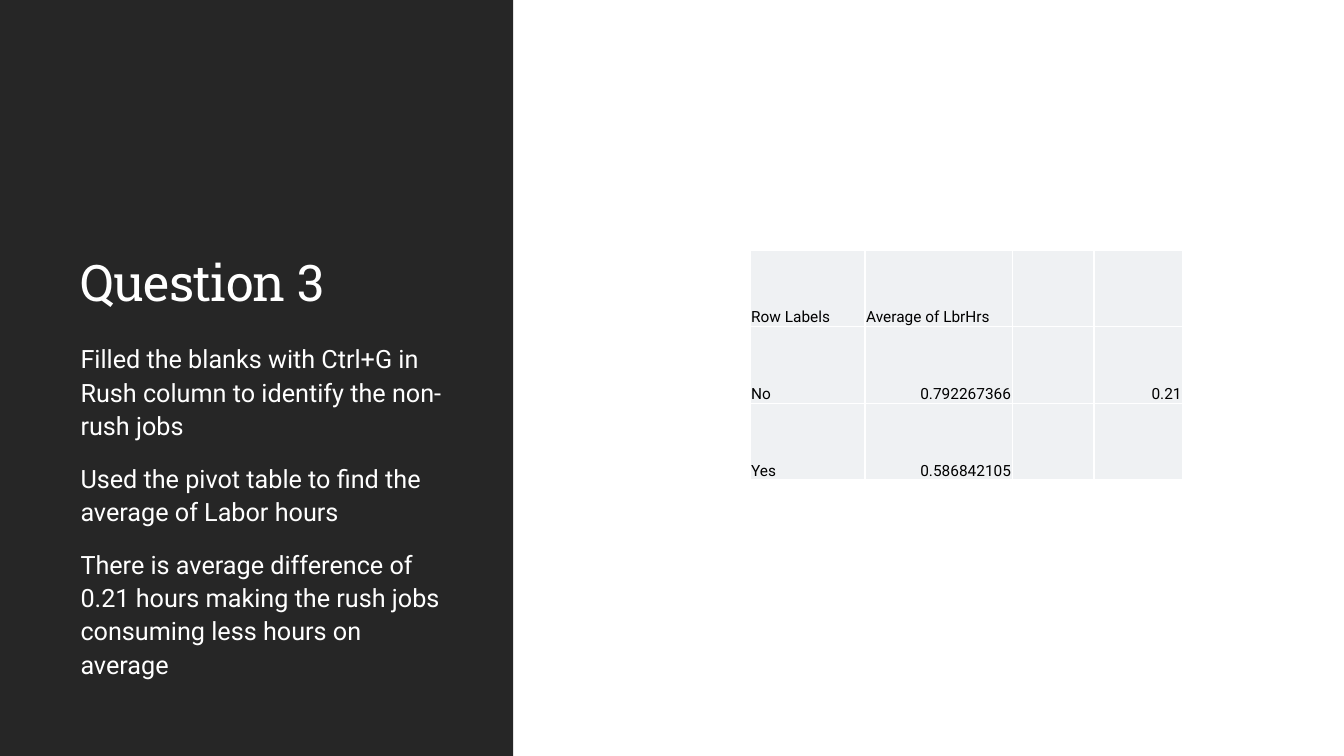
from lxml.etree import SubElement
from pptx import Presentation
from pptx.dml.color import RGBColor
from pptx.enum.shapes import MSO_SHAPE
from pptx.enum.text import MSO_ANCHOR, PP_ALIGN
from pptx.oxml.ns import qn
from pptx.util import Inches, Pt

TITLE = "Question 3"
FINDINGS = [
    "Filled the blanks with Ctrl+G in Rush column to identify the non-rush jobs",
    "Used the pivot table to find the average of Labor hours",
    "There is average difference of 0.21 hours making the rush jobs consuming less hours on average",
]
HOURS = [
    ("Row Labels", "Average of LbrHrs", "", ""),
    ("No", "0.792267366", "", "0.21"),
    ("Yes", "0.586842105", "", ""),
]
COLUMN_WIDTHS = (1.14, 1.46, 0.81, 0.88)
ROW_HEIGHT = 0.76
TEXT_LEFT, TEXT_WIDTH = 0.7, 3.85

DARK = RGBColor(0x26, 0x26, 0x26)
WHITE = RGBColor(0xFF, 0xFF, 0xFF)
BLACK = RGBColor(0, 0, 0)
PALE = RGBColor(0xEF, 0xF1, 0xF3)


def set_font(paragraph, name, size, color):
    font = paragraph.font
    font.name, font.size, font.color.rgb = name, Pt(size), color


def add_text(page, top, height, anchor):
    box = page.shapes.add_textbox(
        Inches(TEXT_LEFT), Inches(top), Inches(TEXT_WIDTH), Inches(height))
    frame = box.text_frame
    frame.word_wrap = True
    frame.vertical_anchor = anchor
    return frame


def add_borders(cell):
    properties = cell._tc.get_or_add_tcPr()
    for side in ("lnL", "lnR", "lnT", "lnB"):
        line = SubElement(properties, qn(f"a:{side}"), w=str(Pt(1)))
        fill = SubElement(line, qn("a:solidFill"))
        SubElement(fill, qn("a:srgbClr"), val=str(WHITE))


def fill_cell(cell, text):
    cell.margin_left = cell.margin_right = cell.margin_top = Inches(0.01)
    cell.margin_bottom = 0
    cell.vertical_anchor = MSO_ANCHOR.BOTTOM
    add_borders(cell)
    cell.fill.solid()
    cell.fill.fore_color.rgb = PALE
    cell.text = text
    para = cell.text_frame.paragraphs[0]
    para.alignment = PP_ALIGN.RIGHT if text[:1].isdigit() else PP_ALIGN.LEFT
    set_font(para, "Roboto", 11, BLACK)


def add_hours_table(page):
    table = page.shapes.add_table(
        len(HOURS), len(COLUMN_WIDTHS), Inches(7.44), Inches(2.48),
        Inches(sum(COLUMN_WIDTHS)), Inches(ROW_HEIGHT * len(HOURS))).table
    table.first_row = table.horz_banding = False
    for column, width in zip(table.columns, COLUMN_WIDTHS):
        column.width = Inches(width)
    for row, texts in zip(table.rows, HOURS):
        row.height = Inches(ROW_HEIGHT)
        for cell, text in zip(row.cells, texts):
            fill_cell(cell, text)


def main():
    deck = Presentation()
    deck.slide_width, deck.slide_height = Inches(13.33), Inches(7.5)
    page = deck.slides.add_slide(deck.slide_layouts[6])

    panel = page.shapes.add_shape(
        MSO_SHAPE.RECTANGLE, 0, 0, Inches(5.09), deck.slide_height)
    panel.shadow.inherit = False
    panel.fill.solid()
    panel.fill.fore_color.rgb = DARK
    panel.line.fill.background()

    title = add_text(page, 0.86, 2.29, MSO_ANCHOR.BOTTOM).paragraphs[0]
    span = title.add_run()
    span.text = TITLE
    span._r.get_or_add_rPr().set("spc", "-50")
    title.line_spacing = 0.9
    set_font(title, "Roboto Slab", 36, WHITE)

    add_hours_table(page)

    body = add_text(page, 3.33, 3.35, MSO_ANCHOR.TOP)
    for index, finding in enumerate(FINDINGS):
        para = body.add_paragraph() if index else body.paragraphs[0]
        para.text = finding
        para.line_spacing = 1.1
        para.space_before = Pt(12 if index else 0)
        para.space_after = Pt(2)
        set_font(para, "Roboto", 18, WHITE)

    deck.save("out.pptx")


if __name__ == "__main__":
    main()
